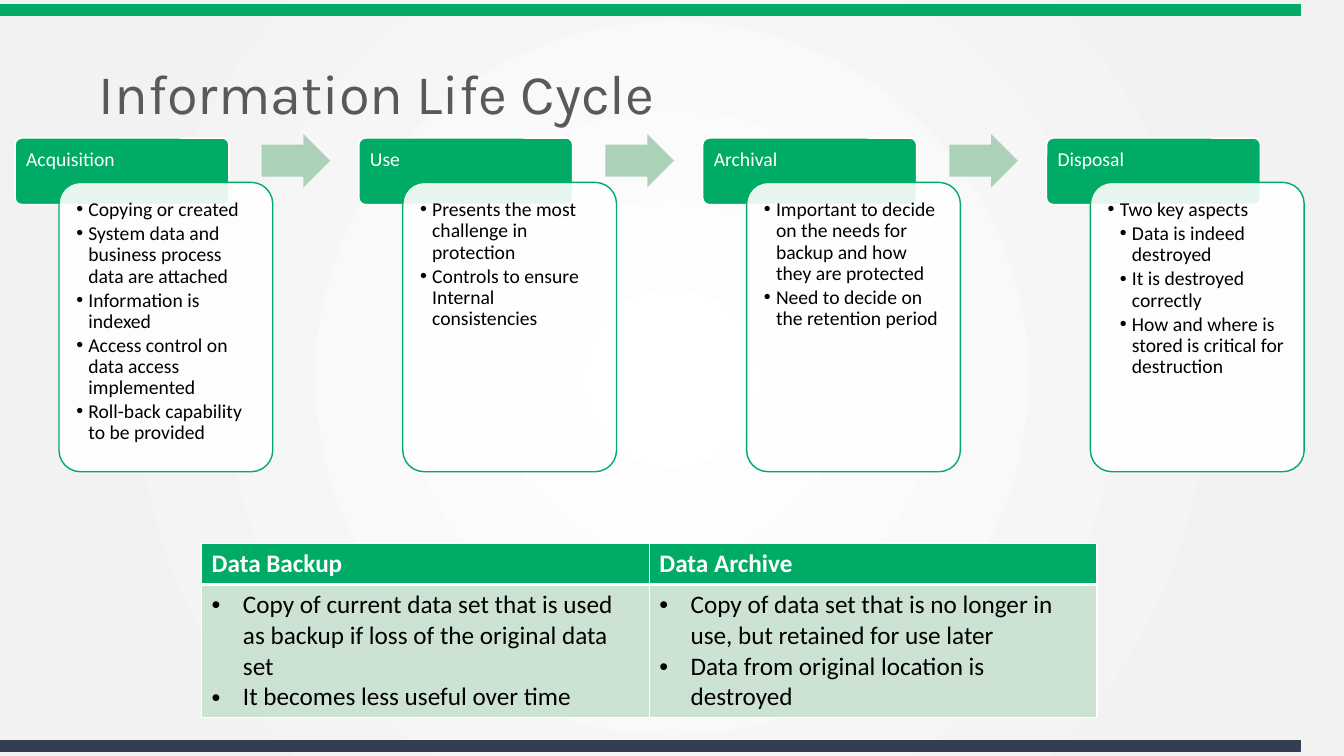
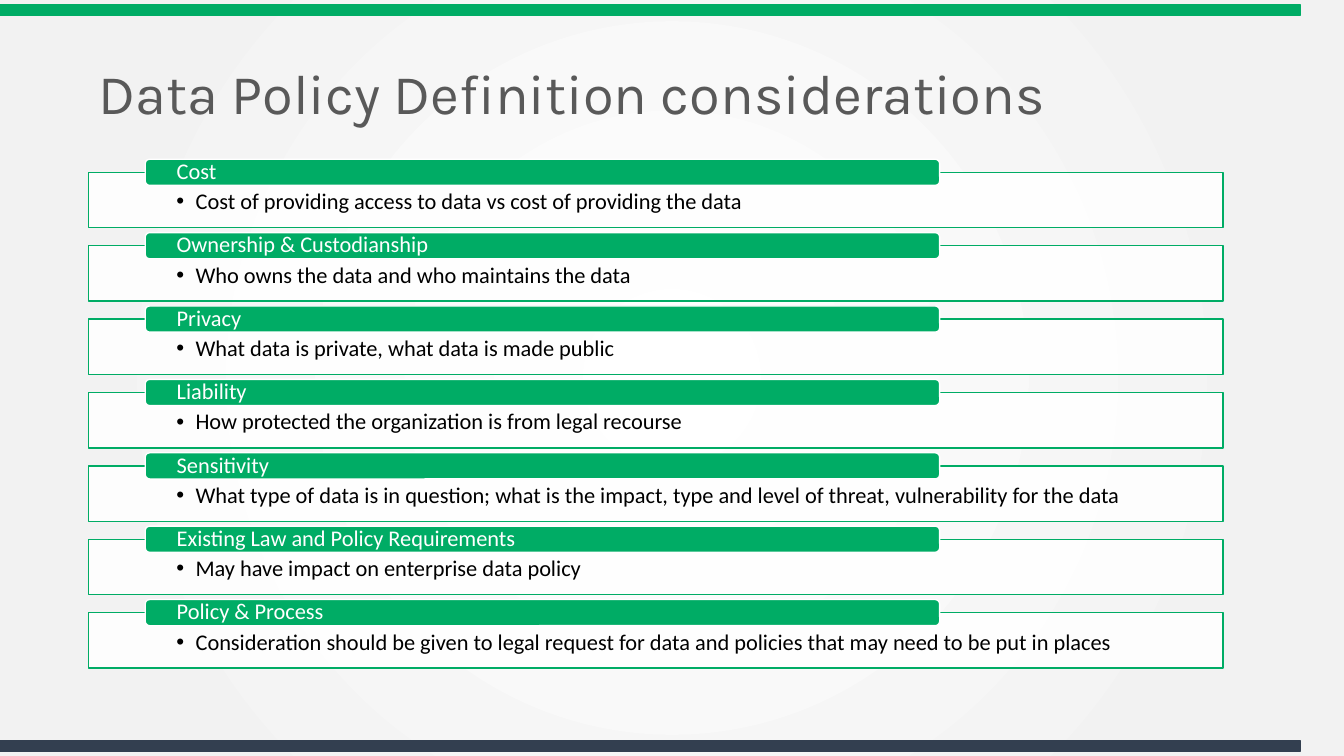
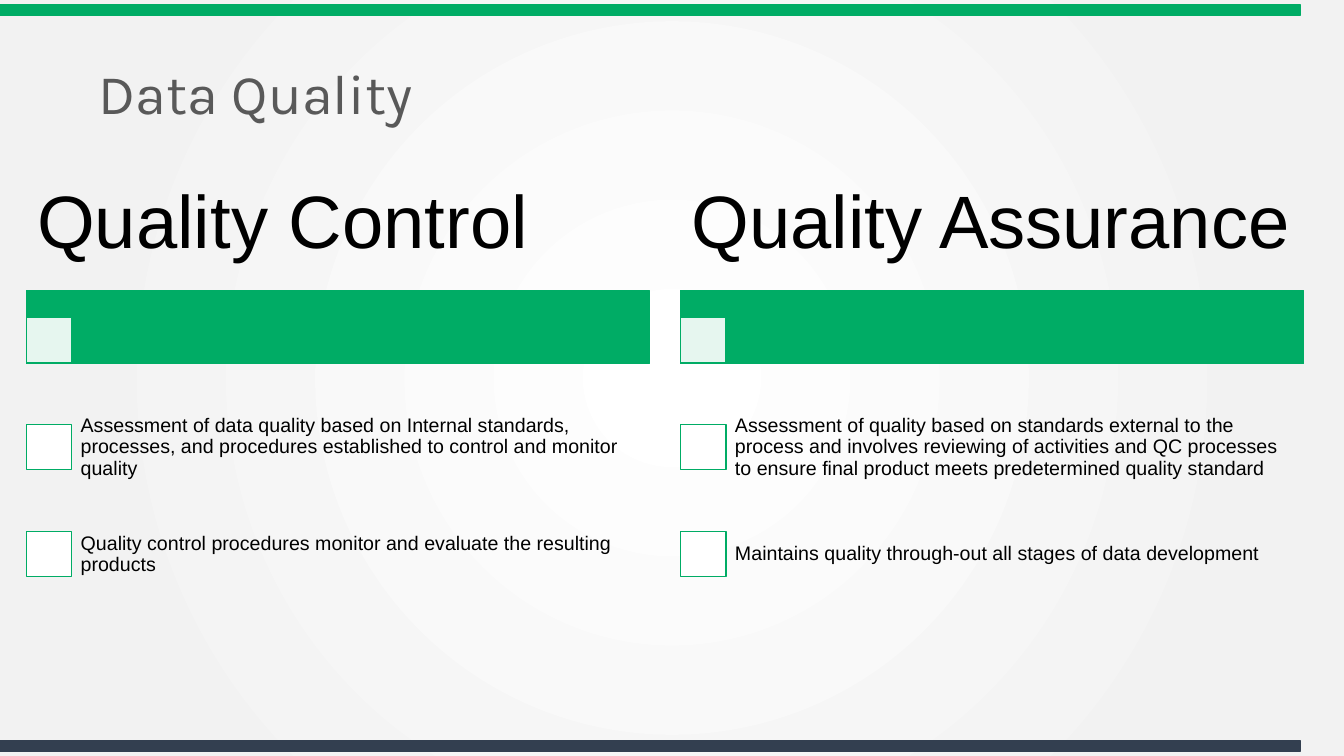
from pptx import Presentation
from pptx.dml.color import RGBColor
from pptx.enum.shapes import MSO_SHAPE as Kind
from pptx.enum.text import MSO_ANCHOR as Anchor, MSO_AUTO_SIZE as Fit, PP_ALIGN as Align
from pptx.oxml import parse_xml
from pptx.oxml.ns import nsdecls
from pptx.oxml.xmlchemy import OxmlElement as Node
from pptx.util import Inches, Pt

GREEN, NAVY, GREY = "00AC65", "333F50", "595959"
WHITE, BLACK, MINT, PALE = "FFFFFF", "000000", "ABD2B8", "CCE3D3"
ROWS = 75  # the grid is square: 75 rows high, 133.3 columns wide

STEPS = [
    ("Acquisition", ["Copying or created",
                     "System data and business process data are attached",
                     "Information is indexed",
                     "Access control on data access implemented",
                     "Roll-back capability to be provided"]),
    ("Use", ["Presents the most challenge in protection",
             "Controls to ensure Internal consistencies"]),
    ("Archival", ["Important to decide on the needs for backup and how they are protected",
                  "Need to decide on the retention period"]),
    ("Disposal", ["Two key aspects",
                  ("Data is indeed destroyed", 2),
                  ("It is destroyed correctly", 2),
                  ("How and where is stored is critical for destruction", 2)]),
]
STORES = [
    ("Data Backup", ["Copy of current data set that is used as backup if loss of the original data set",
                     "It becomes less useful over time"]),
    ("Data Archive", ["Copy of data set that is no longer in use, but retained for use later",
                      "Data from original location is destroyed"]),
]
POLICIES = [
    ("Cost", "Cost of providing access to data vs cost of providing the data"),
    ("Ownership & Custodianship", "Who owns the data and who maintains the data"),
    ("Privacy", "What data is private, what data is made public"),
    ("Liability", "How protected the organization is from legal recourse"),
    ("Sensitivity", "What type of data is in question; what is the impact, type and level of "
                    "threat, vulnerability for the data"),
    ("Existing Law and Policy Requirements", "May have impact on enterprise data policy"),
    ("Policy & Process", "Consideration should be given to legal request for data and policies "
                         "that may need to be put in places"),
]
CHECKS = [
    ("Quality Control", [
        "Assessment of data quality based on Internal standards, processes, and procedures "
        "established to control and monitor quality",
        "Quality control procedures monitor and evaluate the resulting products"]),
    ("Quality Assurance", [
        "Assessment of quality based on standards external to the process and involves reviewing "
        "of activities and QC processes to ensure final product meets predetermined quality standard",
        "Maintains quality through-out all stages of data development"]),
]


def paint(fill, tone, alpha=100):
    fill.solid()
    fill.fore_color.rgb = RGBColor.from_string(tone)
    if alpha < 100:
        node = Node("a:alpha")
        node.set("val", str(alpha * 1000))
        fill._xPr.find(".//" + "{*}srgbClr").append(node)


def dot(para, indent, depth):
    """Give a paragraph a round bullet, hanging by the indent in inches."""
    props = para._p.get_or_add_pPr()
    props.set("marL", str(Inches(indent * depth)))
    props.set("indent", str(-Inches(indent)))
    font, mark = Node("a:buFont"), Node("a:buChar")
    font.set("typeface", "Arial")
    mark.set("char", "•")
    props.extend([font, mark])


def write(frame, lines, size=14, font="Calibri", tone=BLACK, bold=False, anchor=Anchor.TOP,
          inset=None, space=0.9, after=0, bullet=0):
    """Fill a text frame; a line is a string or a pair of string and bullet depth."""
    frame.word_wrap = True
    frame.vertical_anchor = anchor
    if inset:
        sides = [Inches(side) for side in inset]
        frame.margin_left, frame.margin_top, frame.margin_right, frame.margin_bottom = sides
    for i, line in enumerate([lines] if isinstance(lines, str) else lines):
        text, depth = (line, 1) if isinstance(line, str) else line
        para = frame.add_paragraph() if i else frame.paragraphs[0]
        para.alignment = Align.LEFT
        para.line_spacing = space
        para.space_before, para.space_after = Pt(0), Pt(after)
        if bullet:
            dot(para, bullet, depth)
        run = para.add_run()
        run.text = text
        run.font.size, run.font.name, run.font.bold = Pt(size), font, bold
        run.font.color.rgb = RGBColor.from_string(tone)


def edge(cell, thick):
    """Draw white cell borders, 3 points on the thick side and 1 elsewhere."""
    props = cell._tc.get_or_add_tcPr()
    for i, side in enumerate("LRTB"):
        width = Pt(3 if side == thick else 1)
        props.insert(i, parse_xml(
            f'<a:ln{side} {nsdecls("a")} w="{width}"><a:solidFill>'
            f'<a:srgbClr val="{WHITE}"/></a:solidFill></a:ln{side}>'))


class Deck:
    def __init__(self):
        self.file = Presentation()
        self.file.slide_width, self.file.slide_height = Inches(13.33), Inches(7.5)
        self.unit = self.file.slide_height / ROWS
        self.slide = None
        self.glow()

    def glow(self):
        """Set the round white-to-grey gradient behind all slides."""
        master = self.file.slide_master
        master.background.fill.solid()
        old = master.element.xpath(".//p:bgPr/a:solidFill")[0]
        stops = "".join(f'<a:gs pos="{at * 1000}"><a:srgbClr val="{tone}"/></a:gs>'
                        for at, tone in [(0, WHITE), (81, "F2F2F2"), (100, "F2F2F2")])
        old.getparent().replace(old, parse_xml(
            f'<a:gradFill {nsdecls("a")} rotWithShape="1"><a:gsLst>{stops}</a:gsLst>'
            '<a:path path="circle"><a:fillToRect l="50000" t="50000" r="50000" b="50000"/>'
            '</a:path></a:gradFill>'))

    def bands(self):
        """Draw the top and bottom bands and hand them to the master."""
        for i, (top, tone) in enumerate([(0.5, GREEN), (73.5, NAVY)]):
            band = self.shape(0, top, 129, 1, tone, tone).element
            band.xpath(".//p:cNvPr")[0].set("id", str(90 + i))
            self.file.slide_master.shapes.element.append(band)

    def place(self, *cells):
        return [round(cell * self.unit) for cell in cells]

    def page(self, name):
        first = self.slide is None
        self.slide = self.file.slides.add_slide(self.file.slide_layouts[5])
        if first:
            self.bands()
        title = self.slide.shapes.title
        title.left, title.top, title.width, title.height = self.place(8.8, 5.6, 117, 8)
        title.text_frame.auto_size = Fit.NONE
        write(title.text_frame, name, size=40, font="Karla", tone=GREY, anchor=Anchor.MIDDLE)

    def shape(self, x, y, w, h, fill, line=None, kind=Kind.RECTANGLE, adj=(), alpha=100):
        item = self.slide.shapes.add_shape(kind, *self.place(x, y, w, h))
        item.shadow.inherit = False
        for i, value in enumerate(adj):
            item.adjustments[i] = value
        paint(item.fill, fill, alpha)
        if line:
            paint(item.line.fill, line)
            item.line.width = Pt(1)
        else:
            item.line.fill.background()
        return item

    def text(self, x, y, w, h, lines, **style):
        write(self.slide.shapes.add_textbox(*self.place(x, y, w, h)).text_frame, lines, **style)

    def table(self, x, y, widths, heights, pairs):
        """Draw one column for each pair of heading and bullet list."""
        spot = self.place(x, y, sum(widths), sum(heights))
        grid = self.slide.shapes.add_table(2, len(pairs), *spot).table
        grid.horz_banding = False
        for row, high in zip(grid.rows, self.place(*heights)):
            row.height = high
        for i, (head, items) in enumerate(pairs):
            grid.columns[i].width = self.place(widths[i])[0]
            top, body = grid.cell(0, i), grid.cell(1, i)
            for cell, tone, thick in [(top, GREEN, "B"), (body, PALE, "T")]:
                paint(cell.fill, tone)
                edge(cell, thick)
            write(top.text_frame, head, size=18, tone=WHITE, bold=True, space=1)
            write(body.text_frame, items, size=18, space=1, bullet=0.31)


def cycle(deck):
    deck.page("Information Life Cycle")
    for i, (name, items) in enumerate(STEPS):
        x = 1.5 + 34.1 * i
        head = deck.shape(x, 13.7, 21.2, 6.6, GREEN, WHITE, Kind.ROUNDED_RECTANGLE, [0.1])
        write(head.text_frame, name, tone=WHITE, inset=(0.09, 0.09, 0.09, 0.06))
        card = deck.shape(x + 4.35, 18.1, 21.2, 28.7, WHITE, GREEN,
                          Kind.ROUNDED_RECTANGLE, [0.1], 90)
        write(card.text_frame, items, inset=[0.11] * 4, after=2, bullet=0.12)
        if i < len(STEPS) - 1:
            deck.shape(x + 24.45, 13.3, 6.8, 5.3, MINT, kind=Kind.RIGHT_ARROW, adj=[0.6, 0.5])
    deck.table(20, 53.9, [44.4, 44.4], [4.1, 13], STORES)


def policy(deck):
    deck.page("Data Policy Definition considerations")
    for i, (name, note) in enumerate(POLICIES):
        y = 17.1 + 7.28 * i
        panel = deck.shape(8.8, y, 112.5, 5.5, WHITE, GREEN, alpha=90)
        write(panel.text_frame, note, size=16, inset=(0.87, 0.18, 0.87, 0.12), bullet=0.19)
        tab = deck.shape(14.4, y - 1.3, 78.8, 2.6, GREEN, WHITE, Kind.ROUNDED_RECTANGLE)
        write(tab.text_frame, name, size=16, tone=WHITE, anchor=Anchor.MIDDLE,
              inset=(0.3, 0, 0.3, 0))


def quality(deck):
    deck.page("Data Quality")
    style = {"font": "Arial", "anchor": Anchor.MIDDLE}
    for i, (name, notes) in enumerate(CHECKS):
        x = 2.6 + 64.9 * i
        deck.shape(x, 28.8, 61.8, 7.3, GREEN, GREEN)
        deck.shape(x, 31.5, 4.5, 4.5, WHITE, GREEN, alpha=90)
        deck.text(x, 15.7, 61.8, 13.1, name, size=53, inset=(0.11, 0.07, 0.11, 0.07), **style)
        for j, note in enumerate(notes):
            y = 39.1 + 10.6 * j
            deck.shape(x, y + 3, 4.5, 4.5, WHITE, GREEN)
            deck.text(x + 4.3, y, 57.5, 10.6, note, inset=[0.11] * 4, **style)


def main():
    deck = Deck()
    for draw in (cycle, policy, quality):
        draw(deck)
    deck.file.save("out.pptx")


if __name__ == "__main__":
    main()
